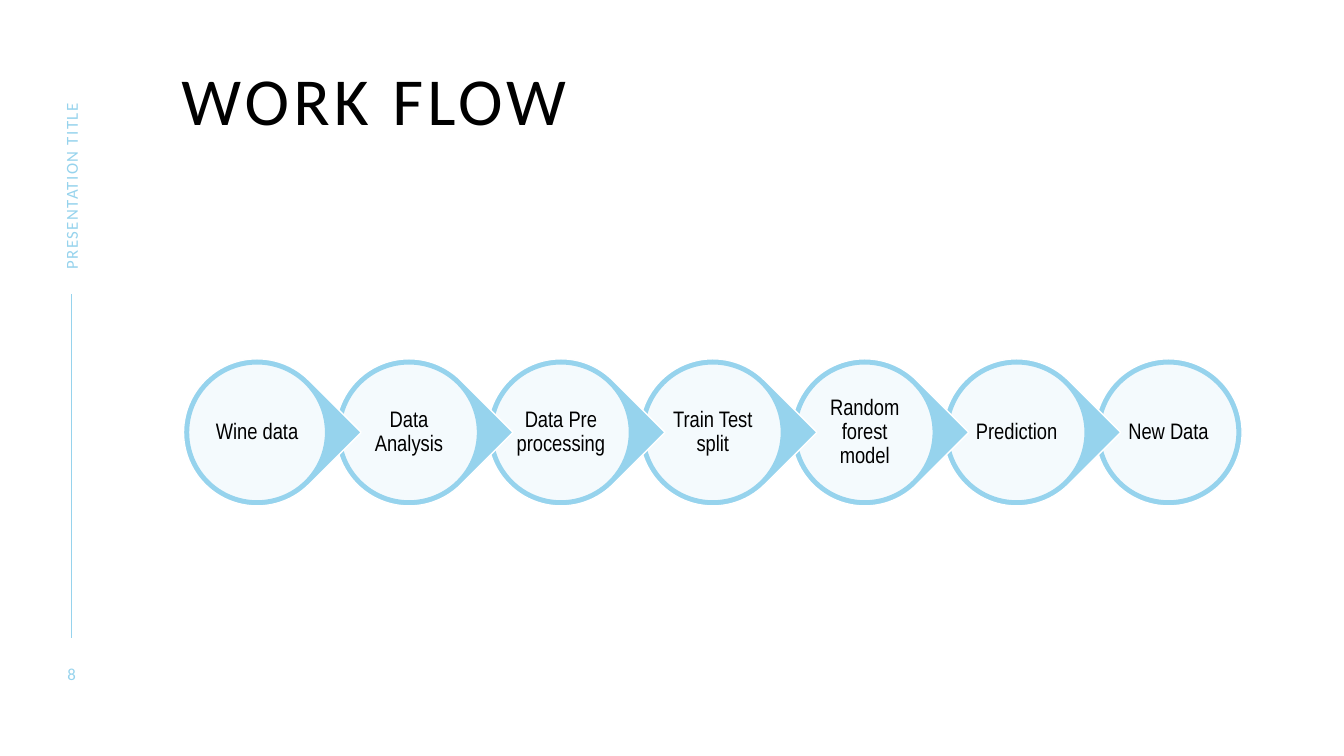
from lxml.etree import SubElement
from pptx import Presentation
from pptx.dml.color import RGBColor
from pptx.enum.shapes import MSO_CONNECTOR, MSO_SHAPE
from pptx.enum.text import MSO_ANCHOR, PP_ALIGN
from pptx.oxml.ns import qn
from pptx.util import Inches, Pt

COLORS = {"accent": "96D3ED", "paper": "FFFFFF", "ink": "000000"}
STEPS = ["Wine data", "Data Analysis", "Data Pre processing", "Train Test split",
         "Random forest model", "Prediction", "New Data"]
FIRST_LEFT, LAST_LEFT, TOP = 1.82, 10.86, 3.56
OUTER, INNER, LABEL = 1.46, 1.36, 0.97


class WorkflowSlide:
    """Draws the parts of the workflow slide in one shared style."""

    def __init__(self, deck):
        self.slide = deck.slides.add_slide(deck.slide_layouts[5])
        self.shapes = self.slide.shapes

    def color(self, name):
        return RGBColor.from_string(COLORS[name])

    def set_text(self, frame, text, size, font, color, align=PP_ALIGN.LEFT,
                 anchor=MSO_ANCHOR.MIDDLE, inset=0, spacing=1.0, tracking=0):
        frame.text = text
        frame.word_wrap = True
        frame.vertical_anchor = anchor
        frame.margin_left = frame.margin_right = Inches(inset)
        frame.margin_top = frame.margin_bottom = Inches(inset)
        paragraph = frame.paragraphs[0]
        paragraph.alignment = align
        paragraph.line_spacing = spacing
        run = paragraph.runs[0]
        run.font.size = Pt(size)
        run.font.name = font
        run.font.color.rgb = self.color(color)
        if tracking:
            run._r.get_or_add_rPr().set("spc", str(tracking * 100))

    def title(self, text, left, top, width, height, indent):
        heading = self.shapes.title
        heading.left, heading.top = Inches(left), Inches(top)
        heading.width, heading.height = Inches(width), Inches(height)
        self.set_text(heading.text_frame, text, 48, "Calibri", "ink",
                      anchor=MSO_ANCHOR.TOP, spacing=0.9, tracking=3)
        heading.text_frame.margin_left = Inches(indent)

    def label(self, text, left, top, width, height, rotation=0, **style):
        box = self.shapes.add_textbox(Inches(left), Inches(top), Inches(width), Inches(height))
        box.rotation = rotation
        self.set_text(box.text_frame, text, **style)

    def disc(self, kind, left, top, size, fill, line, rotation=0, opacity=100):
        disc = self.shapes.add_shape(kind, Inches(left), Inches(top), Inches(size), Inches(size))
        disc.shadow.inherit = False
        disc.rotation = rotation
        disc.fill.solid()
        disc.fill.fore_color.rgb = self.color(fill)
        disc.line.color.rgb = self.color(line)
        disc.line.width = Pt(1)
        if opacity < 100:
            tint = disc._element.spPr.find(qn("a:solidFill"))[0]
            SubElement(tint, qn("a:alpha")).set("val", str(opacity * 1000))

    def step(self, text, left, top, is_last):
        if is_last:
            self.disc(MSO_SHAPE.OVAL, left, top, OUTER, "accent", "paper")
        else:
            self.disc(MSO_SHAPE.TEAR, left, top, OUTER, "accent", "paper", rotation=45)
        rim = (OUTER - INNER) / 2
        self.disc(MSO_SHAPE.OVAL, left + rim, top + rim, INNER, "paper", "accent", opacity=90)
        gap = (OUTER - LABEL) / 2
        self.label(text, left + gap, top + gap, LABEL, LABEL, size=16, font="Arial Narrow",
                   color="ink", align=PP_ALIGN.CENTER, inset=0.02, spacing=0.9)

    def rule(self, x, top, bottom):
        rule = self.shapes.add_connector(MSO_CONNECTOR.STRAIGHT, Inches(x), Inches(top),
                                         Inches(x), Inches(bottom))
        rule.line.color.rgb = self.color("accent")
        rule.line.width = Pt(1)
        SubElement(rule._element.spPr, qn("a:effectLst"))


def main():
    deck = Presentation()
    deck.slide_width, deck.slide_height = Inches(13.33), Inches(7.5)
    workflow = WorkflowSlide(deck)
    workflow.rule(0.71, 2.92, 6.33)
    workflow.title("WORK FLOW", 1.42, 0.67, 11, 1, indent=0.38)

    last = len(STEPS) - 1
    pitch = (LAST_LEFT - FIRST_LEFT) / last
    for index, text in reversed(list(enumerate(STEPS))):
        workflow.step(text, FIRST_LEFT + index * pitch, TOP, index == last)

    margin_style = {"size": 12, "font": "Calibri", "color": "accent"}
    workflow.label("8", 0.46, 6.58, 0.5, 0.2, align=PP_ALIGN.CENTER, tracking=2, **margin_style)
    workflow.label("PRESENTATION TITLE", -0.27, 1.59, 1.95, 0.21, rotation=270, tracking=1,
                   **margin_style)
    deck.save("out.pptx")


if __name__ == "__main__":
    main()
